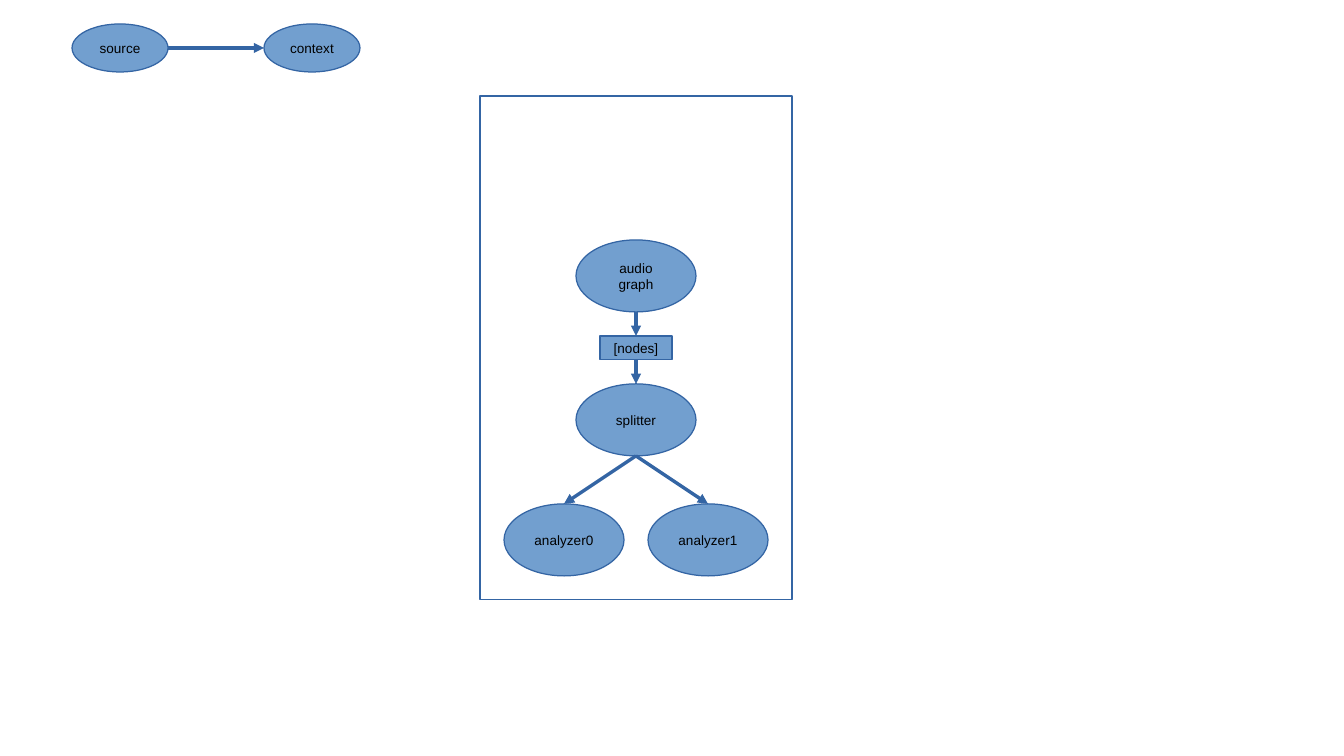
from lxml.etree import SubElement
from pptx import Presentation
from pptx.dml.color import RGBColor
from pptx.enum.shapes import MSO_CONNECTOR, MSO_SHAPE
from pptx.enum.text import MSO_ANCHOR, PP_ALIGN
from pptx.oxml.ns import qn
from pptx.util import Inches, Pt

NODE_FILL = RGBColor(0x72, 0x9F, 0xCF)
OUTLINE = RGBColor(0x34, 0x65, 0xA4)
TEXT = RGBColor(0x00, 0x00, 0x00)

SLIDE_SIZE = (Inches(11.02), Inches(6.2))
GRID_COLUMNS = 56
FONT_NAME, FONT_SIZE = "Arial", Pt(8)
HAIRLINE = Pt(0)

NODES = {
    "source": (MSO_SHAPE.OVAL, 3, 1, 4, 2),
    "context": (MSO_SHAPE.OVAL, 11, 1, 4, 2),
    "analyzer0": (MSO_SHAPE.OVAL, 21, 21, 5, 3),
    "audio graph": (MSO_SHAPE.OVAL, 24, 10, 5, 3),
    "splitter": (MSO_SHAPE.OVAL, 24, 16, 5, 3),
    "analyzer1": (MSO_SHAPE.OVAL, 27, 21, 5, 3),
    "[nodes]": (MSO_SHAPE.RECTANGLE, 25, 14, 3, 1),
}
FRAME = (20, 4, 13, 21)
SIDES = {"right": (1, 0.5), "left": (0, 0.5), "bottom": (0.5, 1), "top": (0.5, 0)}
ARROWS = [
    ("source", "right", "context", "left"),
    ("splitter", "bottom", "analyzer0", "top"),
    ("splitter", "bottom", "analyzer1", "top"),
    ("audio graph", "bottom", "[nodes]", "top"),
    ("[nodes]", "bottom", "splitter", "top"),
]


def set_outline(item):
    item.line.color.rgb = OUTLINE
    item.line.width = HAIRLINE


def add_box(slide, kind, cells, unit):
    shape = slide.shapes.add_shape(kind, *(round(cell * unit) for cell in cells))
    shape.shadow.inherit = False
    set_outline(shape)
    return shape


def add_node(slide, label, kind, cells, unit):
    shape = add_box(slide, kind, cells, unit)
    shape.fill.solid()
    shape.fill.fore_color.rgb = NODE_FILL
    frame = shape.text_frame
    frame.text = label
    frame.word_wrap = " " in label
    frame.vertical_anchor = MSO_ANCHOR.MIDDLE
    paragraph = frame.paragraphs[0]
    paragraph.alignment = PP_ALIGN.CENTER
    font = paragraph.runs[0].font
    font.name, font.size = FONT_NAME, FONT_SIZE
    font.color.rgb = TEXT
    return shape


def side_point(shape, side):
    across, down = SIDES[side]
    return (round(shape.left + across * shape.width),
            round(shape.top + down * shape.height))


def add_arrow(slide, start, end):
    connector = slide.shapes.add_connector(MSO_CONNECTOR.STRAIGHT, *start, *end)
    set_outline(connector)
    SubElement(connector.line._get_or_add_ln(), qn("a:tailEnd"), type="triangle")
    SubElement(connector._element.spPr, qn("a:effectLst"))


def main():
    presentation = Presentation()
    presentation.slide_width, presentation.slide_height = SLIDE_SIZE
    slide = presentation.slides.add_slide(presentation.slide_layouts[6])
    unit = presentation.slide_width / GRID_COLUMNS

    shapes = {label: add_node(slide, label, kind, cells, unit)
              for label, (kind, *cells) in NODES.items()}
    add_box(slide, MSO_SHAPE.RECTANGLE, FRAME, unit).fill.background()
    for source, source_side, target, target_side in ARROWS:
        add_arrow(slide, side_point(shapes[source], source_side),
                  side_point(shapes[target], target_side))

    presentation.save("out.pptx")


if __name__ == "__main__":
    main()
